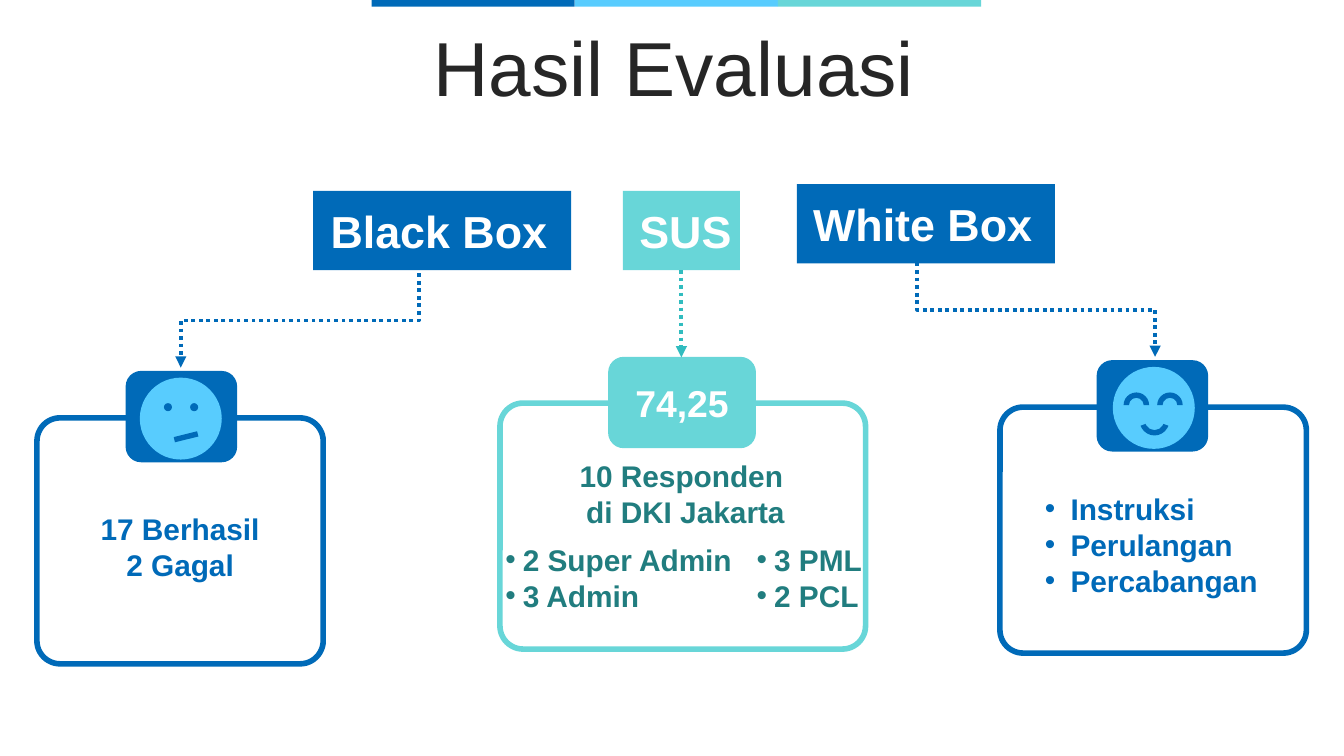
"""Build the evaluation results slide: three tests, each leading to a result card."""
from lxml.etree import SubElement
from pptx import Presentation
from pptx.dml.color import RGBColor
from pptx.enum.dml import MSO_LINE
from pptx.enum.shapes import MSO_CONNECTOR, MSO_SHAPE
from pptx.enum.text import MSO_ANCHOR, MSO_AUTO_SIZE, PP_ALIGN
from pptx.oxml.ns import qn
from pptx.util import Inches, Pt

COLORS = {
    "blue": "006AB8", "sky": "58CCFE", "aqua": "68D6D8", "teal": "217D7F",
    "arrow": "31BCBF", "ink": "262626", "white": "FFFFFF",
}

deck = Presentation()
deck.slide_width = Inches(10)
deck.slide_height = deck.slide_width * 9 // 16
CELL = deck.slide_width / 100
slide = deck.slides.add_slide(deck.slide_layouts[4])
shapes = slide.shapes
title, outcome, roles, contacts, structures = slide.placeholders


def block(kind, box, fill, border=None, adjust=()):
    shape = shapes.add_shape(kind, *[round(CELL * cells) for cells in box])
    shape.shadow.inherit = False
    shape.fill.solid()
    shape.fill.fore_color.rgb = RGBColor.from_string(COLORS[fill])
    if border:
        shape.line.color.rgb = RGBColor.from_string(COLORS[border])
        shape.line.width = Pt(3)
    else:
        shape.line.fill.background()
    for index, value in enumerate(adjust):
        shape.adjustments[index] = value
    return shape


def write(holder, box, lines, size, color, indent=None, bold=True, anchor=MSO_ANCHOR.TOP):
    shapes.element.append(holder.element)
    holder.left, holder.top, holder.width, holder.height = [round(CELL * cells) for cells in box]
    frame = holder.text_frame
    frame.word_wrap = True
    frame.auto_size = MSO_AUTO_SIZE.NONE
    frame.vertical_anchor = anchor
    frame.text = "\n".join(lines)
    for paragraph in frame.paragraphs:
        paragraph.alignment = PP_ALIGN.LEFT if indent else PP_ALIGN.CENTER
        paragraph.space_before = Pt(0)
        properties = paragraph._p.get_or_add_pPr()
        hanging = round(CELL * (indent or 0))
        properties.set("marL", str(hanging))
        properties.set("indent", str(-hanging))
        if indent:
            SubElement(properties, qn("a:buFont"), typeface="Arial")
            SubElement(properties, qn("a:buChar"), char="•")
        else:
            SubElement(properties, qn("a:buNone"))
        font = paragraph.font
        font.name, font.size, font.bold = "Arial", Pt(size), bold
        font.color.rgb = RGBColor.from_string(COLORS[color])


write(title, (2.7, 2.4, 94.9, 5.9), ["Hasil Evaluasi"], 41, "ink",
      bold=False, anchor=MSO_ANCHOR.MIDDLE)
title.text_frame.paragraphs[0].line_spacing = 0.9

for index, color in enumerate(("blue", "sky", "aqua")):
    block(MSO_SHAPE.RECTANGLE, (27.65 + 15.12 * index, 0, 15.12, 0.5), color)

for card, badge, color in (
    ((2.75, 31.1, 21.3, 18.3), (9.35, 27.6, 8.3, 6.8), "blue"),
    ((37.2, 30, 27.2, 18.3), (45.25, 26.55, 11, 6.8), "aqua"),
    ((74.4, 30.3, 22.8, 18.3), (81.6, 26.8, 8.3, 6.8), "blue"),
):
    block(MSO_SHAPE.ROUNDED_RECTANGLE, card, "white", color, [0.094])
    block(MSO_SHAPE.ROUNDED_RECTANGLE, badge, color, adjust=[0.17])

for name, left, top, width, label_left, label_width, color in (
    ("Black Box", 23.3, 14.2, 19.2, 23.2, 18.9, "blue"),
    ("SUS", 46.35, 14.2, 8.7, 46.5, 9, "aqua"),
    ("White Box", 59.3, 13.7, 19.2, 59.2, 18.9, "blue"),
):
    block(MSO_SHAPE.RECTANGLE, (left, top, width, 5.9), color)
    label = shapes.add_textbox(0, 0, 0, 0)
    write(label, (label_left, top + 0.45, label_width, 5), [name], 24, "white")

for kind, ends, turn, color in (
    (MSO_CONNECTOR.ELBOW, (18.8, 15, 25.8, 32.7), 90, "blue"),
    (MSO_CONNECTOR.ELBOW, (80.6, 14.2, 73.6, 31.9), 270, "blue"),
    (MSO_CONNECTOR.STRAIGHT, (50.7, 20.1, 50.7, 26.6), 0, "arrow"),
):
    arrow = shapes.add_connector(kind, *[round(CELL * cells) for cells in ends])
    arrow.line.color.rgb = RGBColor.from_string(COLORS[color])
    arrow.line.width = Pt(2)
    arrow.line.dash_style = MSO_LINE.ROUND_DOT
    SubElement(arrow.line._get_or_add_ln(), qn("a:tailEnd"), type="triangle")
    outline = arrow.element.spPr
    outline.find(qn("a:xfrm")).set("rot", str(turn * 60000))
    SubElement(outline, qn("a:effectLst"))

for face_left, face_top in ((10.4, 28.1), (82.8, 27.3)):
    block(MSO_SHAPE.OVAL, (face_left, face_top, 6.1, 6.1), "sky")
for eye_left in (12.2, 14.15):
    block(MSO_SHAPE.OVAL, (eye_left, 30, 0.6, 0.6), "blue")
block(MSO_SHAPE.RECTANGLE, (12.95, 32.3, 1.8, 0.4), "blue").rotation = -14
for eye_left in (83.6, 86.1):
    block(MSO_SHAPE.BLOCK_ARC, (eye_left, 29.2, 1.9, 1.9), "blue", adjust=[108, 0, 0.21])
block(MSO_SHAPE.BLOCK_ARC, (84.8, 30.2, 2.2, 2.2), "blue", adjust=[12, 96, 0.18])

score = shapes.add_textbox(0, 0, 0, 0)
write(score, (46, 27.8, 9.5, 4.2), ["74,25"], 20, "white")
respondents = shapes.add_textbox(0, 0, 0, 0)
write(respondents, (37.4, 33.55, 27.2, 6.4), ["10 Responden ", "di DKI Jakarta"], 16, "teal")
write(outcome, (2.75, 37.5, 21.3, 6.4), ["17 Berhasil", "2 Gagal"], 16, "blue")
write(structures, (76.75, 36, 19.7, 9.1), ["Instruksi", "Perulangan", "Percabangan"], 16, "blue", 1.9)
write(contacts, (55.3, 39.8, 13.2, 6.4), ["3 PML", "2 PCL"], 16, "teal", 1.3)
write(roles, (36.6, 39.8, 20.3, 6.4), ["2 Super Admin", "3 Admin"], 16, "teal", 1.3)

deck.save("out.pptx")
